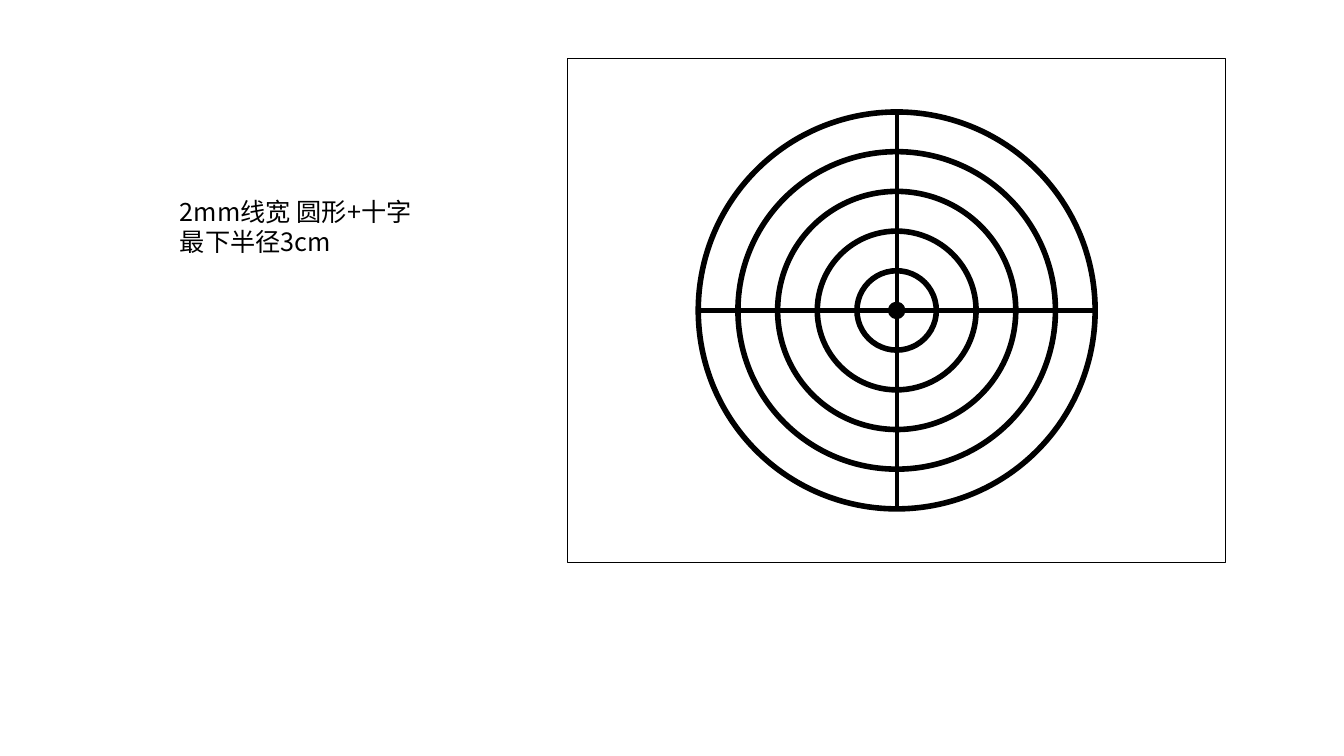
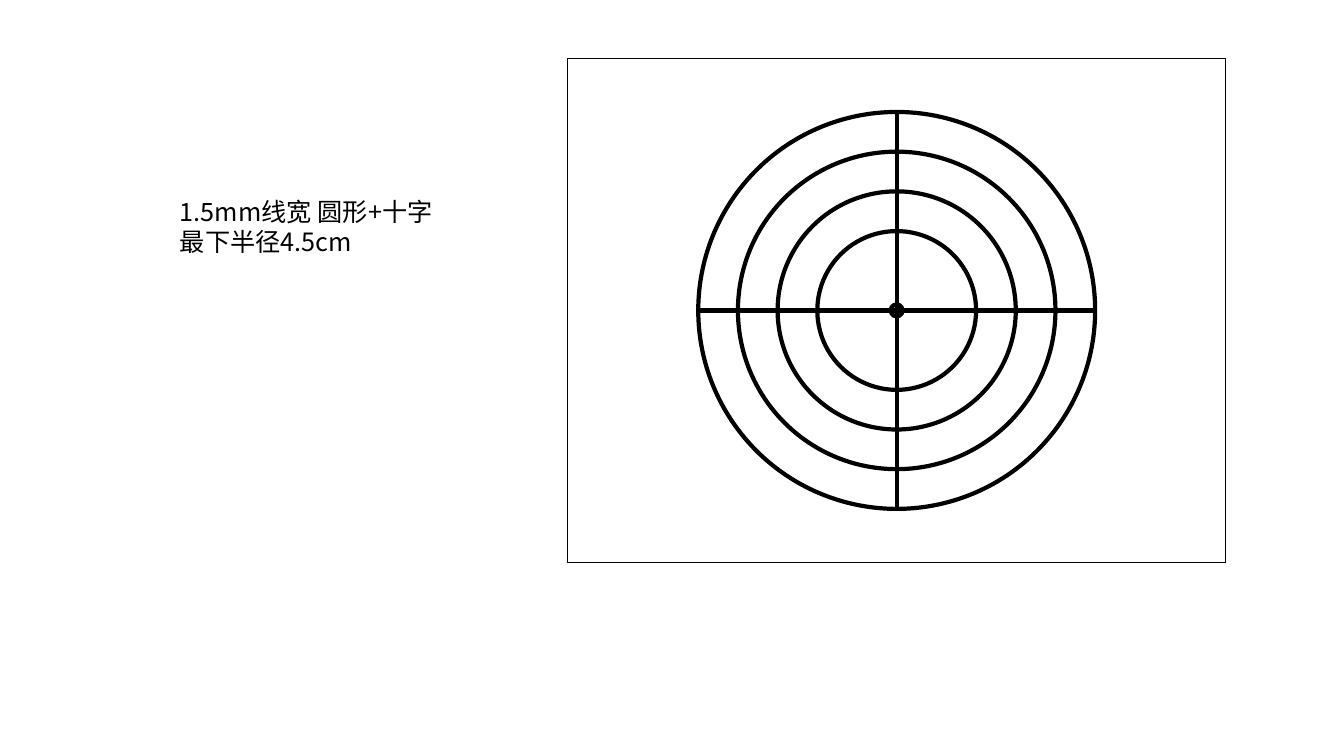
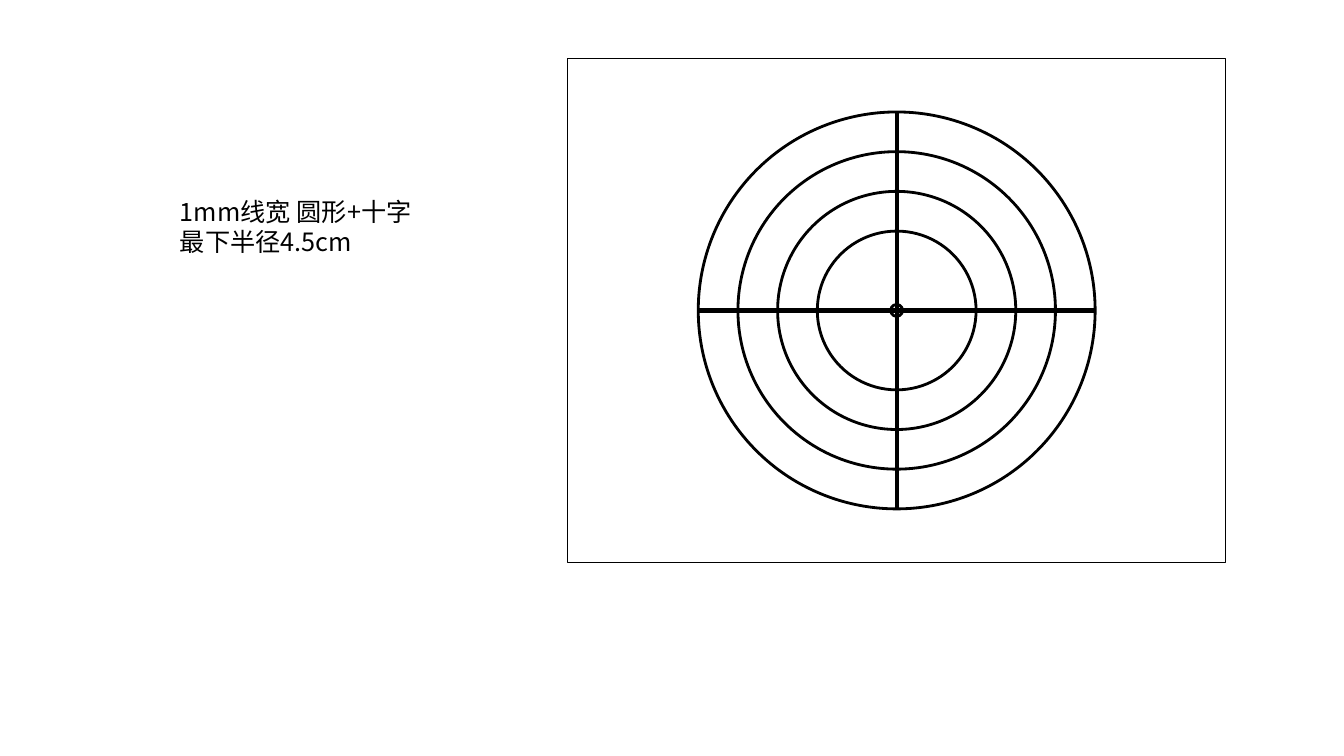
from dataclasses import dataclass

import pptx
import pptx.dml.color
import pptx.enum.shapes
import pptx.enum.text
import pptx.oxml
import pptx.oxml.ns
import pptx.shapes.connector
import pptx.shapes.group
import pptx.slide
import pptx.util

Pt = pptx.util.Pt
SHAPES = pptx.enum.shapes.MSO_SHAPE

# Shared style and geometry, in points
BLACK, WHITE = "000000", "FFFFFF"
FONT = "Noto Sans CJK SC"
CENTER_X, CENTER_Y = 640.5, 221.75
FRAME_WIDTH, FRAME_HEIGHT = 470, 360
RING_STEP = 28.35  # one centimetre
OUTER_RING = 5
DOT_RADIUS = 4.25
CROSS_WIDTH = 3


@dataclass(frozen=True)
class Target:
    caption: tuple[str, ...]
    ring_width: float
    inner_ring: int


TARGETS = (
    Target(("2mm线宽 圆形+十字", "最下半径3cm"), 4, 1),
    Target(("1.5mm线宽 圆形+十字", "最下半径4.5cm"), 3, 2),
    Target(("1mm线宽 圆形+十字", "最下半径4.5cm"), 2, 2),
)


def color(value: str) -> pptx.dml.color.RGBColor:
    return pptx.dml.color.RGBColor.from_string(value)


def add_text(slide: pptx.slide.Slide, lines: tuple[str, ...], *, left: float,
             top: float, width: float, height: float, size: float = 18,
             spacing: float = 21.4, font_color: str = BLACK) -> None:
    box = slide.shapes.add_textbox(Pt(left), Pt(top), Pt(width), Pt(height))
    frame = box.text_frame
    frame.word_wrap = True
    frame.auto_size = pptx.enum.text.MSO_AUTO_SIZE.SHAPE_TO_FIT_TEXT
    frame.text = "\n".join(lines)
    for paragraph in frame.paragraphs:
        paragraph.line_spacing = Pt(spacing)
        for run in paragraph.runs:
            run.font.name = FONT
            run.font.size = Pt(size)
            run.font.color.rgb = color(font_color)
            east_asian = pptx.oxml.parse_xml(
                f'<a:ea {pptx.oxml.ns.nsdecls("a")} typeface="{FONT}"/>')
            run.font._element.append(east_asian)


def add_centered(group: pptx.shapes.group.GroupShape, kind: SHAPES,
                 width: float, height: float, line_width: float,
                 fill: str | None = None) -> None:
    """Draw an outlined shape around the center of the target."""
    shape = group.shapes.add_shape(
        kind, Pt(CENTER_X - width / 2), Pt(CENTER_Y - height / 2),
        Pt(width), Pt(height))
    shape.shadow.inherit = False
    if fill:
        shape.fill.solid()
        shape.fill.fore_color.rgb = color(fill)
    else:
        shape.fill.background()
    shape.line.color.rgb = color(BLACK)
    shape.line.width = Pt(line_width)


def add_cross_line(group: pptx.shapes.group.GroupShape,
                   reach_x: float, reach_y: float) -> None:
    line = group.shapes.add_connector(
        pptx.enum.shapes.MSO_CONNECTOR.STRAIGHT,
        Pt(CENTER_X - reach_x), Pt(CENTER_Y - reach_y),
        Pt(CENTER_X + reach_x), Pt(CENTER_Y + reach_y))
    line.line.color.rgb = color(BLACK)
    line.line.width = Pt(CROSS_WIDTH)
    line._element.spPr.append(pptx.oxml.parse_xml(
        f'<a:effectLst {pptx.oxml.ns.nsdecls("a")}/>'))


def add_target(slide: pptx.slide.Slide, target: Target) -> None:
    group = slide.shapes.add_group_shape()
    add_centered(group, SHAPES.RECTANGLE, FRAME_WIDTH, FRAME_HEIGHT, 1, WHITE)

    # Rings from the outside in, then the center dot
    radii = [ring * RING_STEP
             for ring in range(OUTER_RING, target.inner_ring - 1, -1)]
    for radius in radii + [DOT_RADIUS]:
        add_centered(group, SHAPES.FLOWCHART_CONNECTOR,
                     2 * radius, 2 * radius, target.ring_width)

    # Cross over the rings
    add_cross_line(group, radii[0], 0)
    add_cross_line(group, 0, radii[0])


# Build the slides
presentation = pptx.Presentation()
presentation.slide_width, presentation.slide_height = Pt(960), Pt(540)
blank_layout = presentation.slide_layouts.get_by_name("Blank")
for target in TARGETS:
    slide = presentation.slides.add_slide(blank_layout)
    add_text(slide, target.caption, left=121.5, top=136.75, width=199, height=51)
    add_target(slide, target)

presentation.save("out.pptx")
